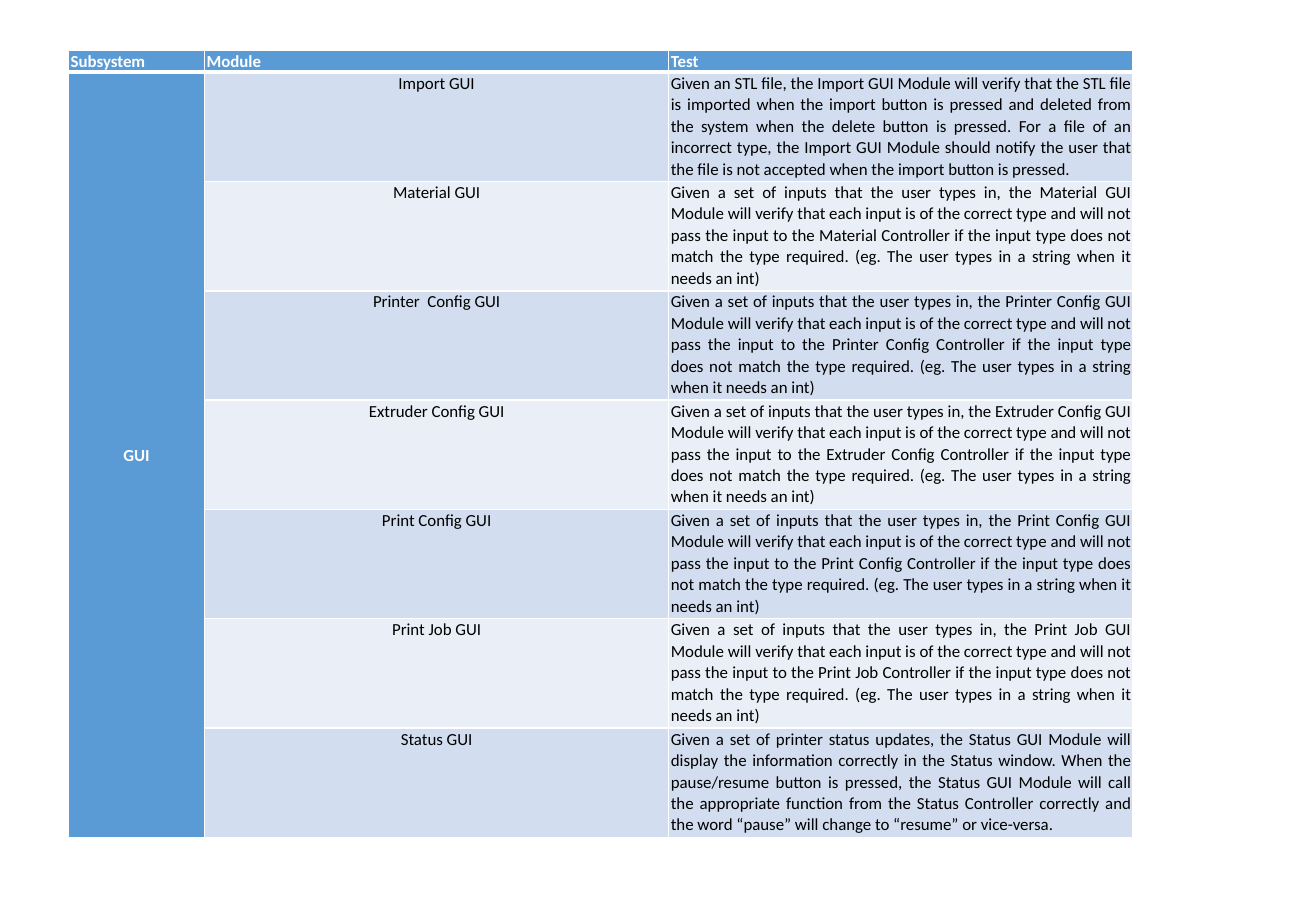
from pptx import Presentation
from pptx.dml.color import RGBColor
from pptx.enum.text import MSO_ANCHOR, PP_ALIGN
from pptx.oxml import parse_xml
from pptx.oxml.ns import nsdecls
from pptx.util import Pt

BLUE, PALE, LIGHT = "5B9BD5", "D2DEEF", "EAEFF7"
WHITE, BLACK = "FFFFFF", "000000"


def color(code):
    return RGBColor.from_string(code)


def style(cell, text, fill, ink, bold, align, base):
    # Borders come before the fill in the cell properties
    props = cell._tc.get_or_add_tcPr()
    for side, width in zip("LRTB", (1, 1, 1, base)):
        props.append(parse_xml(
            f'<a:ln{side} {nsdecls("a")} w="{Pt(width)}"><a:solidFill>'
            f'<a:srgbClr val="{WHITE}"/></a:solidFill></a:ln{side}>'))
    cell.fill.solid()
    cell.fill.fore_color.rgb = color(fill)
    frame = {"margin_left": Pt(1.3), "margin_right": Pt(1.3),
             "margin_top": 0, "margin_bottom": 0,
             "vertical_anchor": MSO_ANCHOR.TOP}
    for name, value in frame.items():
        setattr(cell, name, value)
    para = cell.text_frame.paragraphs[0]
    para.alignment, para.line_spacing = align, 1.05
    if text:
        run = para.add_run()
        run.text = text
        font = {"name": "Calibri", "size": Pt(10), "bold": bold}
        for name, value in font.items():
            setattr(run.font, name, value)
        run.font.color.rgb = color(ink)


# Wording: the five input modules share one test
heads = ["Subsystem", "Module", "Test"]
inputs = ("Given a set of inputs that the user types in, the {0} GUI Module "
          "will verify that each input is of the correct type and will not "
          "pass the input to the {0} Controller if the input type does not "
          "match the type required. (eg. The user types in a string when it "
          "needs an int)")
tests = [("Import GUI",
          "Given an STL file, the Import GUI Module will verify that the STL "
          "file is imported when the import button is pressed and deleted "
          "from the system when the delete button is pressed. For a file of "
          "an incorrect type, the Import GUI Module should notify the user "
          "that the file is not accepted when the import button is pressed.")]
for label in ["Material", "Printer  Config", "Extruder Config",
              "Print Config", "Print Job"]:
    part = label.replace("  ", " ")
    tests.append((f"{label} GUI", inputs.format(part)))
tests.append(("Status GUI",
              "Given a set of printer status updates, the Status GUI Module "
              "will display the information correctly in the Status window. "
              "When the pause/resume button is pressed, the Status GUI Module "
              "will call the appropriate function from the Status Controller "
              "correctly and the word “pause” will change to “resume” or "
              "vice-versa."))

# Slide
deck = Presentation()
deck.slide_width, deck.slide_height = Pt(780), Pt(540)
slide = deck.slides.add_slide(deck.slide_layouts[6])

# Table grid
widths = [80.6, 275.2, 275.2]
heights = [13] + [64.8] * len(tests)
table = slide.shapes.add_table(
    len(heights), len(widths), Pt(40.6), Pt(29.8),
    Pt(sum(widths)), Pt(sum(heights))).table
for col, width in zip(table.columns, widths):
    col.width = Pt(width)
for row, height in zip(table.rows, heights):
    row.height = Pt(height)

# Header row
for col, head in enumerate(heads):
    style(table.cell(0, col), head, BLUE, WHITE, True, PP_ALIGN.JUSTIFY, 3)

# Module rows, banded
for row, (module, test) in enumerate(tests, 1):
    band = PALE if row % 2 else LIGHT
    group = "GUI" if row == 1 else ""
    style(table.cell(row, 0), group, BLUE, WHITE, True, PP_ALIGN.CENTER, 1)
    style(table.cell(row, 1), module, band, BLACK, False, PP_ALIGN.CENTER, 1)
    style(table.cell(row, 2), test, band, BLACK, False, PP_ALIGN.JUSTIFY, 1)

# Subsystem cell spans all modules
first = table.cell(1, 0)
first.merge(table.cell(len(tests), 0))
first.vertical_anchor = MSO_ANCHOR.MIDDLE

deck.save("out.pptx")
